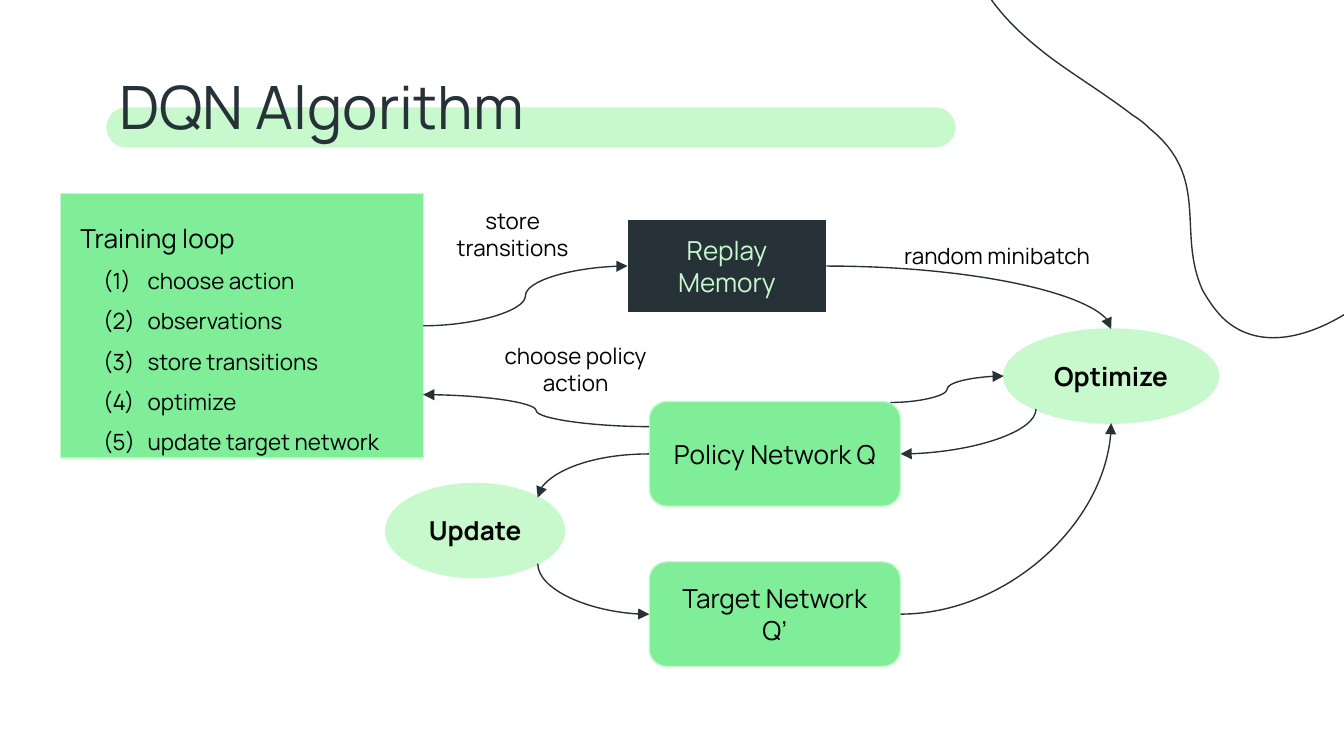
from typing import NamedTuple

from lxml.etree import SubElement
from pptx import Presentation
from pptx.dml.color import RGBColor
from pptx.enum.shapes import MSO_CONNECTOR, MSO_SHAPE
from pptx.enum.text import MSO_ANCHOR, MSO_AUTO_SIZE, PP_ALIGN
from pptx.oxml.ns import qn
from pptx.util import Cm, Pt

DARK, GREEN, PALE, WHITE, BLACK = "263238", "80ED99", "C7F9CC", "FFFFFF", "000000"
FONT = "Manrope"
INSET = 0.25
FAR, NEAR = 0.85, 0.15  # diagonal points of an ellipse, as shares of its box


class Box(NamedTuple):
    """Left, top, width and height in centimetres."""
    left: float
    top: float
    width: float
    height: float

    def lengths(self):
        return [Cm(value) for value in self]

    def point(self, across, down):
        """Point at the given shares of the width and height."""
        return self.left + across * self.width, self.top + down * self.height


TITLE = Box(2.01, 1.07, 21.41, 1.7)
BAND = Box(2.01, 2.03, 16.05, 0.76)
LOOP = Box(1.14, 3.66, 6.86, 5)
POLICY = Box(12.27, 7.59, 4.75, 1.98)
TARGET = POLICY._replace(top=10.62)
UPDATE = Box(7.29, 9.14, 3.38, 1.78)
MEMORY = Box(11.86, 4.14, 3.76, 1.78)
OPTIMIZE = Box(18.97, 6.22, 4.06, 1.78)

STEPS = ["choose action", "observations", "store transitions", "optimize",
         "update target network"]

NODES = [
    (MSO_SHAPE.ROUNDED_RECTANGLE, POLICY, "Policy Network Q", GREEN, PALE, BLACK, False),
    (MSO_SHAPE.ROUNDED_RECTANGLE, TARGET, "Target Network Q’", GREEN, PALE, BLACK, False),
    (MSO_SHAPE.OVAL, UPDATE, "Update", PALE, PALE, BLACK, True),
    (MSO_SHAPE.RECTANGLE, MEMORY, "Replay Memory", DARK, WHITE, PALE, False),
    (MSO_SHAPE.OVAL, OPTIMIZE, "Optimize", PALE, PALE, BLACK, True),
]

# start, end, route: "S" bends twice, "across" and "down" name the first direction
ARROWS = [
    (POLICY.point(0, 0.5), UPDATE.point(FAR, NEAR), "across"),
    (UPDATE.point(FAR, FAR), TARGET.point(0, 0.5), "down"),
    (TARGET.point(1, 0.5), OPTIMIZE.point(0.5, 1), "across"),
    (OPTIMIZE.point(NEAR, FAR), POLICY.point(1, 0.5), "down"),
    (POLICY.point(0.96, 0.01), OPTIMIZE.point(0, 0.5), "S"),
    (MEMORY.point(1, 0.5), OPTIMIZE.point(0.5, 0), "across"),
    (LOOP.point(1, 0.5), MEMORY.point(0, 0.5), "S"),
    (POLICY.point(0, 0.24), LOOP.point(1, 0.76), "S"),
]

LABELS = [
    (Box(16.84, 4.32, 5.18, 1.02), "random minibatch", PP_ALIGN.LEFT),
    (Box(8, 3.66, 3.38, 1.55), "store transitions", PP_ALIGN.CENTER),
    (Box(9.19, 6.22, 3.38, 1.55), "choose policy action", PP_ALIGN.CENTER),
]

# start point, then two control points and an end point for each curve
CORNER_CURVE = [
    (23.24, 6.12),
    (23.06, 5.99), (22.89, 5.77), (22.73, 5.49),
    (22.23, 4.39), (22.89, 3.38), (21.74, 2.44),
    (21.64, 2.34), (21.54, 2.26), (21.41, 2.18),
    (20.85, 1.75), (20.29, 1.42), (19.79, 1.04),
    (19.2, 0.58), (18.67, 0.08), (18.29, -0.79),
    (17.63, -2.21), (18.08, -3.28), (19.08, -4.14),
    (20.78, -5.66), (22.96, -5.33), (24.74, -3.99),
    (25.5, -3.43), (26.19, -2.67), (26.72, -1.8),
    (28.45, 0.97), (27.94, 3), (25.78, 5.69),
    (25.12, 6.2), (24.03, 6.71), (23.24, 6.12),
]


def color(value):
    return RGBColor.from_string(value)


def set_values(item, values):
    for name, value in values.items():
        setattr(item, name, value)


def set_line(line, value):
    line.color.rgb = color(value)
    line.width = Pt(0.75)


def set_frame(frame, anchor):
    margins = dict.fromkeys(
        ("margin_left", "margin_top", "margin_right", "margin_bottom"), Cm(INSET))
    set_values(frame, {"word_wrap": True, "auto_size": MSO_AUTO_SIZE.NONE,
                       "vertical_anchor": anchor, **margins})


def write(paragraph, text, size, ink=BLACK, align=PP_ALIGN.LEFT, bold=False):
    paragraph.alignment = align
    run = paragraph.add_run()
    run.text = text
    set_values(run.font, {"name": FONT, "size": Pt(size), "bold": bold})
    run.font.color.rgb = color(ink)


def add_block(slide, kind, box, fill, outline=None):
    """Preset shape with a flat fill and an optional thin outline."""
    shape = slide.shapes.add_shape(kind, *box.lengths())
    shape.shadow.inherit = False
    shape.fill.solid()
    shape.fill.fore_color.rgb = color(fill)
    if outline:
        set_line(shape.line, outline)
    else:
        shape.line.fill.background()
    return shape


def add_corner_curve(slide, points):
    corners = [(Cm(x), Cm(y)) for x, y in points]
    builder = slide.shapes.build_freeform(*corners[0])
    builder.add_line_segments(corners[1:], close=False)
    shape = builder.convert_to_shape()
    shape.shadow.inherit = False
    shape.fill.background()
    set_line(shape.line, DARK)
    outline = shape.element.find(".//" + qn("a:path"))
    segments = outline.findall(qn("a:lnTo"))
    for first in range(0, len(segments), 3):
        curve = SubElement(outline, qn("a:cubicBezTo"))
        for segment in segments[first:first + 3]:
            curve.append(segment[0])
            outline.remove(segment)
    SubElement(outline, qn("a:close"))


def add_title(slide, box, band):
    highlight = add_block(slide, MSO_SHAPE.ROUNDED_RECTANGLE, band, PALE)
    highlight.adjustments[0] = 0.5
    title = slide.shapes.title
    set_values(title, dict(zip(("left", "top", "width", "height"), box.lengths())))
    set_frame(title.text_frame, MSO_ANCHOR.TOP)
    write(title.text_frame.paragraphs[0], "DQN Algorithm", 32, DARK)
    highlight.element.addnext(title.element)


def add_text(slide, box):
    frame = slide.shapes.add_textbox(*box.lengths()).text_frame
    set_frame(frame, MSO_ANCHOR.TOP)
    return frame


def number(paragraph):
    """Number the paragraph as (1), (2), ... with a hanging indent."""
    properties = paragraph._p.get_or_add_pPr()
    set_indent = {"marL": Cm(1.27), "indent": -Cm(0.84)}
    for name, value in set_indent.items():
        properties.set(name, str(int(value)))
    SubElement(SubElement(properties, qn("a:buClr")), qn("a:srgbClr"), val=BLACK)
    SubElement(properties, qn("a:buFont"), typeface=FONT)
    SubElement(properties, qn("a:buAutoNum"), type="arabicParenBoth")


def add_training_loop(slide, box):
    add_block(slide, MSO_SHAPE.RECTANGLE, box, GREEN, PALE)
    frame = add_text(slide, box._replace(left=box.left + 0.13, width=box.width - 0.13))
    write(frame.paragraphs[0], "Training loop", 14)
    for step in STEPS:
        paragraph = frame.add_paragraph()
        number(paragraph)
        write(paragraph, step, 12)
    for paragraph in frame.paragraphs:
        paragraph.line_spacing = 1.5


def add_node(slide, kind, box, text, fill, outline, ink, bold):
    frame = add_block(slide, kind, box, fill, outline).text_frame
    set_frame(frame, MSO_ANCHOR.MIDDLE)
    write(frame.paragraphs[0], text, 14, ink, PP_ALIGN.CENTER, bold)


def add_arrow(slide, start, end, route):
    (x1, y1), (x2, y2) = start, end
    if route == "down":  # lay the box on its side; the quarter turn restores it
        middle_x, middle_y = (x1 + x2) / 2, (y1 + y2) / 2
        half_x, half_y = (x2 - x1) / 2, (y2 - y1) / 2
        x1, y1 = middle_x - half_y, middle_y + half_x
        x2, y2 = middle_x + half_y, middle_y - half_x
    connector = slide.shapes.add_connector(
        MSO_CONNECTOR.CURVE, Cm(x1), Cm(y1), Cm(x2), Cm(y2))
    set_line(connector.line, DARK)
    properties = connector.element.spPr
    if route != "S":
        properties.find(qn("a:prstGeom")).set("prst", "curvedConnector2")
    if route == "down":
        properties.find(qn("a:xfrm")).set("rot", str(90 * 60000))
    SubElement(properties.find(qn("a:ln")), qn("a:tailEnd"), type="triangle")
    SubElement(properties, qn("a:effectLst"))


def add_label(slide, box, text, align):
    write(add_text(slide, box).paragraphs[0], text, 12, align=align)


def main():
    presentation = Presentation()
    set_values(presentation, {"slide_width": Cm(25.4), "slide_height": Cm(14.29)})
    slide = presentation.slides.add_slide(presentation.slide_layouts[5])
    add_title(slide, TITLE, BAND)
    add_corner_curve(slide, CORNER_CURVE)
    add_training_loop(slide, LOOP)
    for add_part, rows in ((add_node, NODES), (add_arrow, ARROWS), (add_label, LABELS)):
        for row in rows:
            add_part(slide, *row)
    presentation.save("out.pptx")


if __name__ == "__main__":
    main()
